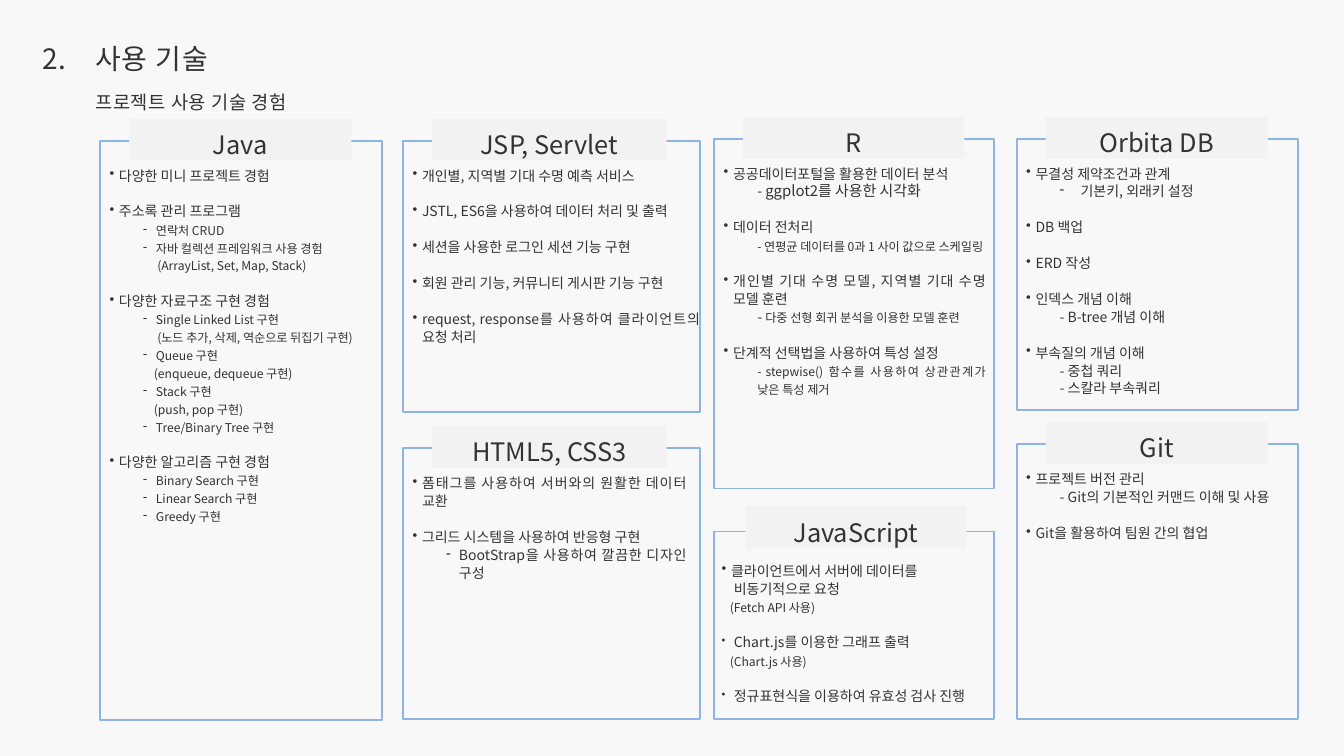
"""Build the slide that lists the technologies used in the projects."""
from typing import NamedTuple

from lxml import etree
from pptx import Presentation
from pptx.dml.color import RGBColor
from pptx.enum.shapes import MSO_SHAPE
from pptx.enum.text import MSO_ANCHOR, MSO_AUTO_SIZE, PP_ALIGN
from pptx.oxml.ns import qn
from pptx.util import Pt

PX = 9144
FONT = "Noto Sans CJK KR"
PAPER = RGBColor(0xF8, 0xF8, 0xF8)
INK = RGBColor(0x33, 0x33, 0x33)
BORDER = RGBColor(0x8E, 0xB4, 0xE3)
TAB_FILL = RGBColor(0xF2, 0xF2, 0xF2)
RECTANGLE = MSO_SHAPE.RECTANGLE
LEFT, CENTER, JUSTIFY = PP_ALIGN.LEFT, PP_ALIGN.CENTER, PP_ALIGN.JUSTIFY
FIT_SHAPE = MSO_AUTO_SIZE.SHAPE_TO_FIT_TEXT
TOP = MSO_ANCHOR.TOP
BODY_SPACING = Pt(19.2)


class Box(NamedTuple):
    left: int
    top: int
    width: int
    height: int


class Style(NamedTuple):
    level: int
    margin: int
    indent: int = 0
    bullet: str = ""
    bullet_percent: int = 100


class Line(NamedTuple):
    style: Style
    text: str
    size: float = 15
    lead: str = ""


class Card(NamedTuple):
    title: str
    frame: Box
    tab: Box
    body: Box
    lines: list[Line]


class Heading(NamedTuple):
    text: str
    box: Box
    size: int
    line_spacing: int
    tracking: int
    alignment: PP_ALIGN


PLAIN = Style(0, 0)
ITEM = Style(1, 28, -14, "•")
SMALL_ITEM = Style(1, 32, -18, "•", 80)
ITEM_MORE = Style(1, 32)
ITEM_NOTE = Style(0, 26)
DASH = Style(2, 83, -19, "-")
WIDE_DASH = Style(2, 95, -31, "-")
SUB = Style(2, 64)
DASH_NOTE = Style(2, 85)
NEAR_NOTE = Style(2, 80)

HEADINGS = [
    Heading("프로젝트 사용 기술 경험", Box(142, 135, 426, 33), 20, 24, 60, LEFT),
    Heading("사용 기술", Box(142, 62, 350, 51), 30, 36, 90, LEFT),
    Heading("2.", Box(43, 62, 76, 51), 30, 36, 90, CENTER),
]

CARDS = [
    Card("JSP, Servlet", Box(600, 210, 442, 403), Box(643, 177, 349, 62), Box(600, 247, 442, 266), [
        Line(ITEM, "개인별, 지역별 기대 수명 예측 서비스"),
        Line(ITEM, "JSTL, ES6을 사용하여 데이터 처리 및 출력"),
        Line(ITEM, "세션을 사용한 로그인 세션 기능 구현"),
        Line(ITEM, "회원 관리 기능, 커뮤니티 게시판 기능 구현"),
        Line(ITEM, "request, response를 사용하여 클라이언트의 요청 처리"),
    ]),
    Card("HTML5, CSS3", Box(600, 667, 442, 403), Box(643, 634, 349, 62), Box(600, 705, 422, 160), [
        Line(ITEM, "폼태그를 사용하여 서버와의 원활한 데이터 교환"),
        Line(ITEM, "그리드 시스템을 사용하여 반응형 구현"),
        Line(DASH, "BootStrap을 사용하여 깔끔한 디자인 구성"),
    ]),
    Card("R", Box(1063, 207, 416, 520), Box(1106, 174, 329, 62), Box(1063, 244, 404, 453), [
        Line(ITEM, "공공데이터포털을 활용한 데이터 분석"),
        Line(SUB, "ggplot2를 사용한 시각화", 16, "- "),
        Line(ITEM, "데이터 전처리"),
        Line(SUB, "- 연평균 데이터를 0과 1 사이 값으로 스케일링", 13),
        Line(ITEM, "개인별 기대 수명 모델, 지역별 기대 수명 모델 훈련"),
        Line(SUB, "다중 선형 회귀 분석을 이용한 모델 훈련", 13, "- "),
        Line(ITEM, "단계적 선택법을 사용하여 특성 설정"),
        Line(SUB, "- stepwise() 함수를 사용하여 상관관계가 낮은 특성 제거", 13),
    ]),
    Card("JavaScript", Box(1063, 791, 416, 279), Box(1109, 754, 329, 62), Box(1060, 835, 416, 213), [
        Line(ITEM, "클라이언트에서 서버에 데이터를"),
        Line(ITEM_MORE, "비동기적으로 요청"),
        Line(ITEM_NOTE, "(Fetch API 사용)", 13),
        Line(SMALL_ITEM, "Chart.js를 이용한 그래프 출력"),
        Line(ITEM_NOTE, "(Chart.js 사용)", 13),
        Line(SMALL_ITEM, "정규표현식을 이용하여 유효성 검사 진행"),
    ]),
    Card("Java", Box(149, 210, 419, 861), Box(192, 177, 331, 62), Box(149, 247, 419, 533), [
        Line(ITEM, "다양한 미니 프로젝트 경험"),
        Line(ITEM, "주소록 관리 프로그램"),
        Line(DASH, "연락처 CRUD", 13),
        Line(DASH, "자바 컬렉션 프레임워크 사용 경험", 13),
        Line(DASH_NOTE, "(ArrayList, Set, Map, Stack)", 13),
        Line(ITEM, "다양한 자료구조 구현 경험"),
        Line(DASH, "Single Linked List 구현", 13),
        Line(DASH_NOTE, "(노드 추가, 삭제, 역순으로 뒤집기 구현)", 13),
        Line(DASH, "Queue 구현", 13),
        Line(NEAR_NOTE, "(enqueue, dequeue 구현)", 13),
        Line(DASH, "Stack 구현", 13),
        Line(NEAR_NOTE, "(push, pop 구현)", 13),
        Line(DASH, "Tree/Binary Tree 구현", 13),
        Line(ITEM, "다양한 알고리즘 구현 경험"),
        Line(DASH, "Binary Search 구현", 13),
        Line(DASH, "Linear Search 구현", 13),
        Line(DASH, "Greedy 구현", 13),
    ]),
    Card("Orbita DB", Box(1513, 207, 419, 403), Box(1556, 174, 331, 62), Box(1513, 244, 419, 346), [
        Line(ITEM, "무결성 제약조건과 관계"),
        Line(WIDE_DASH, "기본키, 외래키 설정"),
        Line(ITEM, "DB 백업"),
        Line(ITEM, "ERD 작성"),
        Line(ITEM, "인덱스 개념 이해"),
        Line(SUB, "- B-tree 개념 이해"),
        Line(ITEM, "부속질의 개념 이해"),
        Line(SUB, "- 중첩 쿼리"),
        Line(SUB, "- 스칼라 부속쿼리"),
    ]),
    Card("Git", Box(1513, 661, 419, 409), Box(1556, 628, 331, 62), Box(1513, 699, 419, 107), [
        Line(ITEM, "프로젝트 버전 관리"),
        Line(SUB, "- Git의 기본적인 커맨드 이해 및 사용"),
        Line(ITEM, "Git을 활용하여 팀원 간의 협업"),
    ]),
]


def apply(target, values: dict) -> None:
    for name, value in values.items():
        setattr(target, name, value)


def add_span(para, text: str, size: float, tracking: int = 0) -> None:
    span = para.add_run()
    span.text = text
    apply(span.font, {"name": FONT, "size": Pt(size)})
    span.font.color.rgb = INK
    properties = span.font._element
    etree.SubElement(properties, qn("a:ea")).set("typeface", FONT)
    if tracking:
        properties.set("spc", str(tracking))


def write(shape, lines: list[Line], alignment: PP_ALIGN, spacing: int, tracking: int = 0) -> None:
    frame = shape.text_frame
    margins = dict.fromkeys(("margin_left", "margin_top", "margin_right", "margin_bottom"), 0)
    apply(frame, {**margins, "word_wrap": True, "auto_size": FIT_SHAPE, "vertical_anchor": TOP})
    for number, line in enumerate(lines):
        para = frame.add_paragraph() if number else frame.paragraphs[0]
        style = line.style
        apply(para, {"alignment": alignment, "level": style.level, "line_spacing": spacing})
        if number and style.bullet == "•":
            para.space_before = spacing
        properties = para._p.get_or_add_pPr()
        properties.set("marL", str(style.margin * PX))
        properties.set("indent", str(style.indent * PX))
        if style.bullet:
            etree.SubElement(properties, qn("a:buSzPct")).set("val", str(style.bullet_percent * 1000))
            etree.SubElement(properties, qn("a:buChar")).set("char", style.bullet)
        if line.lead:
            add_span(para, line.lead, 15)
        add_span(para, line.text, line.size, tracking)


def add_text(page, box: Box):
    return page.shapes.add_textbox(*(length * PX for length in box))


def add_rectangle(page, box: Box):
    shape = page.shapes.add_shape(RECTANGLE, *(length * PX for length in box))
    shape.shadow.inherit = False
    return shape


def add_card(page, card: Card) -> None:
    write(add_text(page, card.body), card.lines, JUSTIFY, BODY_SPACING)
    frame = add_rectangle(page, card.frame)
    frame.fill.background()
    frame.line.color.rgb = BORDER
    frame.line.width = Pt(2)
    tab = add_rectangle(page, card.tab)
    tab.fill.solid()
    tab.fill.fore_color.rgb = TAB_FILL
    tab.line.fill.background()
    write(tab, [Line(PLAIN, card.title, 27.2)], CENTER, Pt(43.6))


def main() -> None:
    deck = Presentation()
    apply(deck, {"slide_width": 2000 * PX, "slide_height": 1125 * PX})
    page = deck.slides.add_slide(deck.slide_layouts[6])
    page.background.fill.solid()
    page.background.fill.fore_color.rgb = PAPER
    for heading in HEADINGS:
        write(add_text(page, heading.box), [Line(PLAIN, heading.text, heading.size)],
              heading.alignment, Pt(heading.line_spacing), heading.tracking)
    for card in CARDS:
        add_card(page, card)
    deck.save("out.pptx")


if __name__ == "__main__":
    main()
